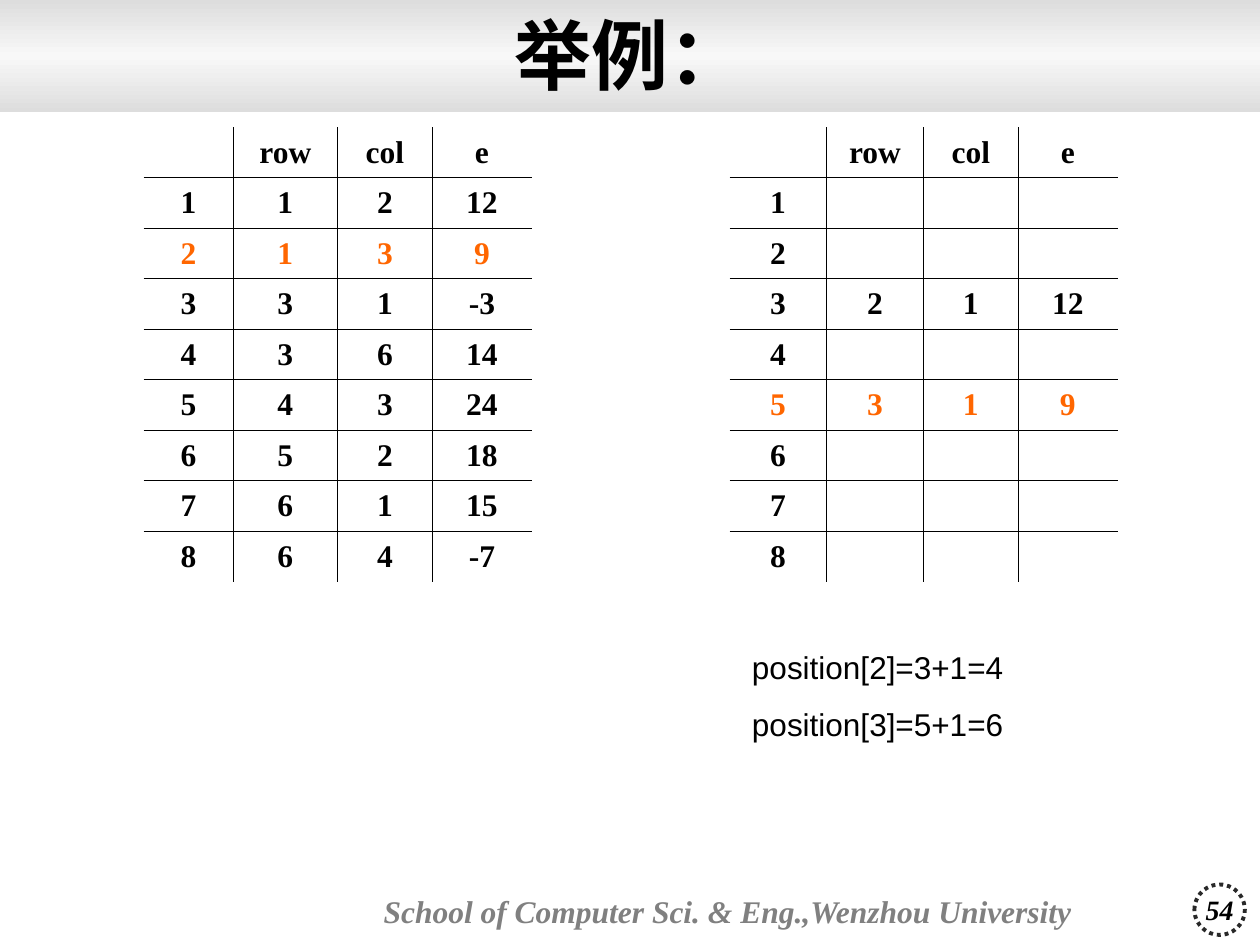
from copy import deepcopy
from lxml.etree import SubElement
from pptx import Presentation
from pptx.dml.color import RGBColor
from pptx.enum.dml import MSO_LINE
from pptx.enum.shapes import MSO_SHAPE
from pptx.enum.text import MSO_ANCHOR, MSO_AUTO_SIZE, PP_ALIGN
from pptx.oxml.ns import qn
from pptx.util import Inches, Pt

BLACK = RGBColor(0x00, 0x00, 0x00)
GREY = RGBColor(0x80, 0x80, 0x80)
DARK = RGBColor(0x29, 0x29, 0x29)
SILVER = RGBColor(0xDD, 0xDD, 0xDD)
PALE = RGBColor(0xF8, 0xF8, 0xF8)
ORANGE = RGBColor(0xFF, 0x66, 0x00)
SERIF = "Times New Roman"
SANS = "Arial"
UNIT = Inches(0.1)
ROW = 4.01

HEAD = ["", "row", "col", "e"]
SOURCE = [(1, 2, 12), (1, 3, 9), (3, 1, -3), (3, 6, 14),
          (4, 3, 24), (5, 2, 18), (6, 1, 15), (6, 4, -7)]
RESULT = {3: (2, 1, 12), 5: (3, 1, 9)}


def write(frame, text, size=18, font=SERIF, color=BLACK, bold=True,
          italic=False, align=PP_ALIGN.CENTER, gap=0):
    for i, line in enumerate(text.split("\n")):
        para = frame.add_paragraph() if i else frame.paragraphs[0]
        para.alignment = align
        if i and gap:
            para.space_before = Pt(gap)
        run = para.add_run()
        run.text = line
        face = run.font
        face.name, face.size = font, Pt(size)
        face.bold, face.italic = bold, italic
        face.color.rgb = color


def grid(*cells):
    return [round(n * UNIT) for n in cells]


class Deck:
    def __init__(self):
        self.file = Presentation()
        self.file.slide_width, self.file.slide_height = grid(100, 75)
        self.slide = self.file.slides.add_slide(self.file.slide_layouts[6])

    def band(self, *place):
        shape = self.slide.shapes.add_shape(MSO_SHAPE.RECTANGLE, *grid(*place))
        shape.shadow.inherit = False
        shape.line.fill.background()
        shape.fill.gradient()
        shape.fill.gradient_angle = 270
        first = shape.fill._fill._gradFill.gsLst[0]
        first.addnext(deepcopy(first))
        for i, stop in enumerate(shape.fill.gradient_stops):
            stop.position = i / 2
            stop.color.rgb = PALE if i == 1 else SILVER

    def label(self, text, *place, wrap=True, anchor=MSO_ANCHOR.MIDDLE,
              fit=MSO_AUTO_SIZE.NONE, **style):
        frame = self.slide.shapes.add_textbox(*grid(*place)).text_frame
        frame.auto_size = fit
        frame.word_wrap = wrap
        frame.vertical_anchor = anchor
        write(frame, text, **style)

    def badge(self, text, *place, **style):
        shape = self.slide.shapes.add_shape(MSO_SHAPE.OVAL, *grid(*place))
        shape.shadow.inherit = False
        shape.fill.background()
        shape.line.color.rgb = DARK
        shape.line.width = Pt(2.25)
        shape.line.dash_style = MSO_LINE.ROUND_DOT
        frame = shape.text_frame
        frame.word_wrap = False
        frame.vertical_anchor = MSO_ANCHOR.MIDDLE
        write(frame, text, **style)

    def edge(self, cell, sides):
        props = cell._tc.get_or_add_tcPr()
        for side, drawn in sides.items():
            line = SubElement(props, qn("a:ln" + side), w=str(Pt(0.45)))
            if drawn:
                fill = SubElement(line, qn("a:solidFill"))
                SubElement(fill, qn("a:srgbClr"), val=str(BLACK))
            else:
                SubElement(line, qn("a:noFill"))

    def table(self, rows, left, top, widths, mark):
        high, wide = len(rows), len(widths)
        place = grid(left, top, sum(widths), high * ROW)
        table = self.slide.shapes.add_table(high, wide, *place).table
        table.first_row = table.horz_banding = False
        for col, width in zip(table.columns, grid(*widths)):
            col.width = width
        for r, row in enumerate(rows):
            table.rows[r].height = grid(ROW)[0]
            for c, value in enumerate(row):
                cell = table.cell(r, c)
                cell.vertical_anchor = MSO_ANCHOR.MIDDLE
                cell.margin_top = cell.margin_bottom = Inches(0.04)
                self.edge(cell, {"L": c > 0, "R": c < wide - 1,
                                 "T": r > 0, "B": r < high - 1})
                cell.fill.background()
                if value != "":
                    write(cell.text_frame, str(value),
                          color=ORANGE if r == mark else BLACK)


def main():
    deck = Deck()
    deck.band(0, 0, 100, 8.9)
    deck.label("School of Computer Sci. & Eng.,Wenzhou University",
               27.8, 69, 59.9, 6.6, wrap=False, color=GREY, italic=True)
    deck.badge("54", 94.8, 70.2, 4, 4, size=16, italic=True)
    deck.label("举例：", 0, -0.2, 100, 9, size=44)

    left = [HEAD] + [[i, *row] for i, row in enumerate(SOURCE, 1)]
    right = [HEAD] + [[i, *RESULT.get(i, [""] * 3)]
                      for i in range(1, len(SOURCE) + 1)]
    deck.table(left, 11.4, 10.1, [7.1, 8.3, 7.5, 7.9], mark=2)
    deck.table(right, 57.9, 10.1, [7.7, 7.7, 7.5, 7.9], mark=5)

    deck.label("position[2]=3+1=4\nposition[3]=5+1=6", 58.7, 50.9, 23.6, 8.6,
               anchor=MSO_ANCHOR.TOP, fit=MSO_AUTO_SIZE.SHAPE_TO_FIT_TEXT,
               font=SANS, bold=False, align=PP_ALIGN.LEFT, gap=11.2)
    deck.file.save("out.pptx")


if __name__ == "__main__":
    main()
